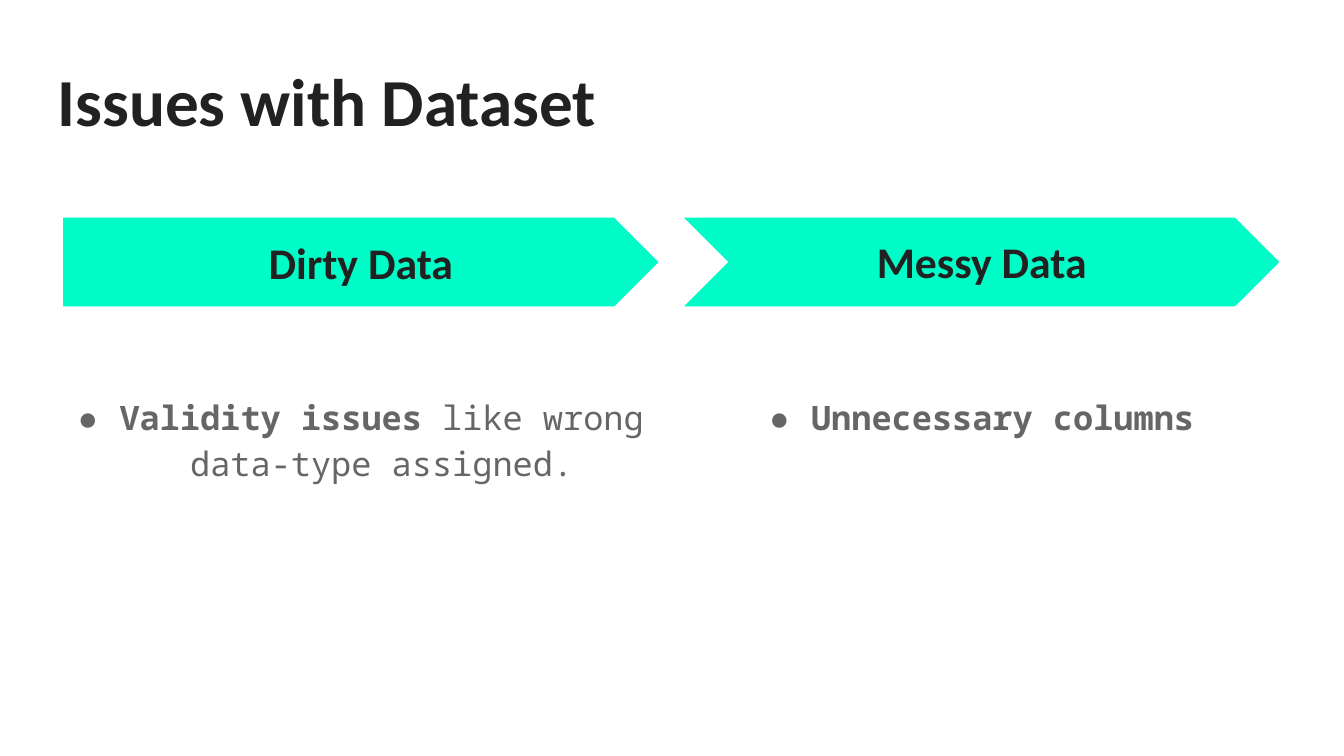
from dataclasses import dataclass

from lxml import etree
from pptx import Presentation
from pptx.dml.color import RGBColor
from pptx.enum.shapes import MSO_SHAPE
from pptx.enum.text import MSO_ANCHOR, PP_ALIGN
from pptx.oxml.ns import qn
from pptx.util import Inches, Pt

PENTAGON, CHEVRON = MSO_SHAPE.PENTAGON, MSO_SHAPE.CHEVRON
TOP, BOTTOM = MSO_ANCHOR.TOP, MSO_ANCHOR.BOTTOM
LEFT, CENTER = PP_ALIGN.LEFT, PP_ALIGN.CENTER

MINT = RGBColor(0x00, 0xFD, 0xC8)
DARK = RGBColor(0x21, 0x21, 0x21)
GRAY = RGBColor(0x66, 0x66, 0x66)
HEADING_FONT = "Calibri"
BODY_FONT = "Noto Sans Mono"

SLIDE_WIDTH = 10
SLIDE_HEIGHT = SLIDE_WIDTH * 9 / 16
COLUMN_WIDTH = 4.43
ARROW_TOP, ARROW_HEIGHT = 1.62, 0.66
LABEL_HEIGHT = 0.57
BODY_TOP, BODY_HEIGHT = 2.81, 2.33
INSET = 0.1
BULLET_INDENT = 0.31


@dataclass
class Column:
    left: float
    arrow: MSO_SHAPE
    heading: str
    heading_top: float
    issue: str
    detail: str = ""


COLUMNS = [
    Column(0.47, PENTAGON, "Dirty Data", 1.68,
           "Validity issues ", "like wrong data-type assigned."),
    Column(5.09, CHEVRON, "Messy Data", 1.67, "Unnecessary columns"),
]


def write_text(shape, text: str, *, size: float, color: RGBColor, font: str,
               detail: str = "", align=LEFT, anchor=TOP, line_spacing: float = 1.0):
    """Write bold text, followed by an optional regular detail; return the paragraph."""
    frame = shape.text_frame
    frame.word_wrap = True
    frame.vertical_anchor = anchor
    frame.margin_left = frame.margin_right = Inches(INSET)
    frame.margin_top = frame.margin_bottom = Inches(INSET)
    paragraph = frame.paragraphs[0]
    paragraph.alignment = align
    paragraph.line_spacing = line_spacing
    for content, bold in ((text, True), (detail, False)):
        if content:
            run = paragraph.add_run()
            run.text = content
            run.font.size = Pt(size)
            run.font.name = font
            run.font.bold = bold
            run.font.color.rgb = color
    return paragraph


def add_bullet(paragraph, color: RGBColor) -> None:
    properties = paragraph._p.get_or_add_pPr()
    properties.set("marL", str(Inches(BULLET_INDENT)))
    properties.set("indent", str(-Inches(BULLET_INDENT)))
    bullet_color = etree.SubElement(properties, qn("a:buClr"))
    etree.SubElement(bullet_color, qn("a:srgbClr"), val=str(color))
    etree.SubElement(properties, qn("a:buFont"), typeface=BODY_FONT)
    etree.SubElement(properties, qn("a:buChar"), char="●")


def add_text_box(slide, left: float, top: float, height: float):
    return slide.shapes.add_textbox(
        Inches(left), Inches(top), Inches(COLUMN_WIDTH), Inches(height))


def add_column(slide, column: Column) -> None:
    arrow = slide.shapes.add_shape(
        column.arrow, Inches(column.left), Inches(ARROW_TOP),
        Inches(COLUMN_WIDTH), Inches(ARROW_HEIGHT))
    arrow.adjustments[0] = 0.5
    arrow.shadow.inherit = False
    arrow.fill.solid()
    arrow.fill.fore_color.rgb = MINT
    arrow.line.fill.background()

    heading = add_text_box(slide, column.left, column.heading_top, LABEL_HEIGHT)
    write_text(heading, column.heading, size=23.4, color=DARK, font=HEADING_FONT,
               align=CENTER, anchor=BOTTOM, line_spacing=0.9)

    body = add_text_box(slide, column.left, BODY_TOP, BODY_HEIGHT)
    paragraph = write_text(body, column.issue, detail=column.detail, size=18,
                           color=GRAY, font=BODY_FONT, align=CENTER,
                           line_spacing=1.15)
    paragraph.space_after = Pt(8)
    add_bullet(paragraph, GRAY)


def main() -> None:
    presentation = Presentation()
    presentation.slide_width = Inches(SLIDE_WIDTH)
    presentation.slide_height = Inches(SLIDE_HEIGHT)
    slide = presentation.slides.add_slide(presentation.slide_layouts[5])

    title = slide.shapes.title
    title.left, title.top = Inches(0.33), Inches(0.34)
    title.width, title.height = Inches(9.34), Inches(0.82)
    write_text(title, "Issues with Dataset", size=36, color=DARK, font=HEADING_FONT)

    for column in COLUMNS:
        add_column(slide, column)
    presentation.save("out.pptx")


if __name__ == "__main__":
    main()
